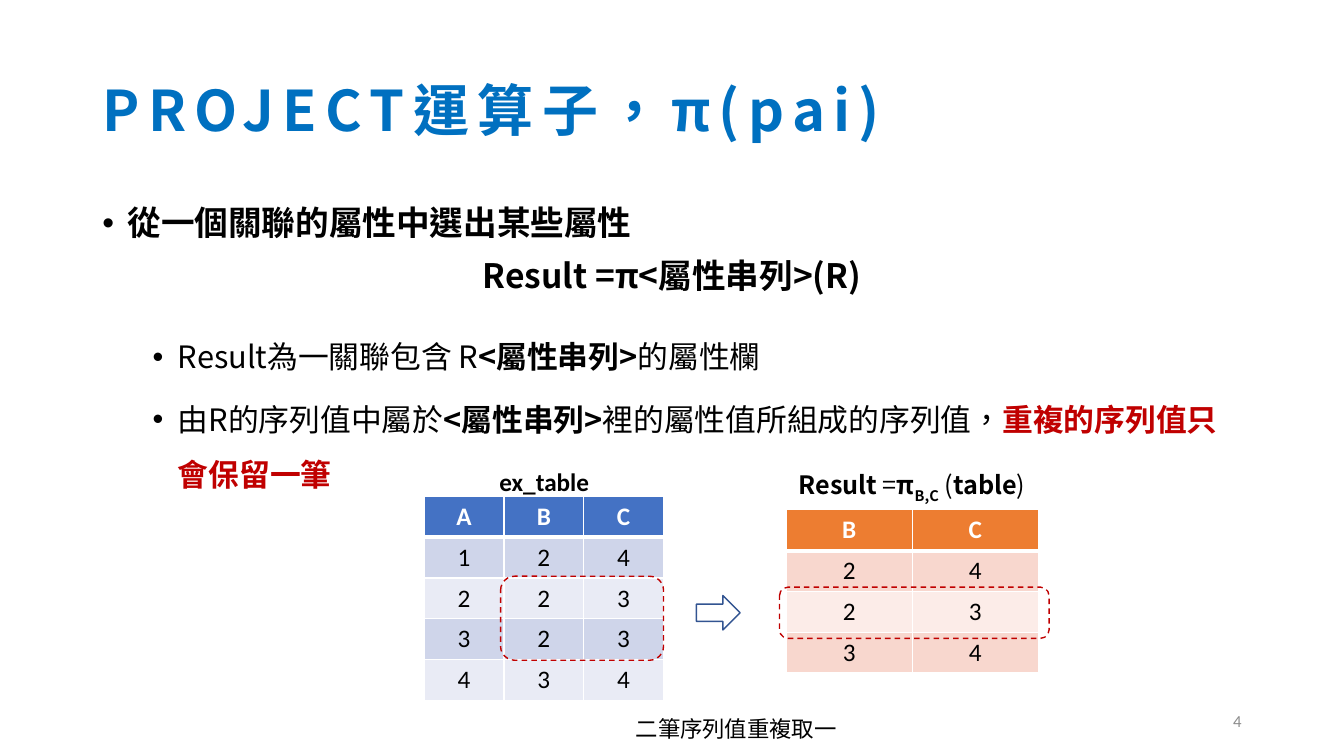
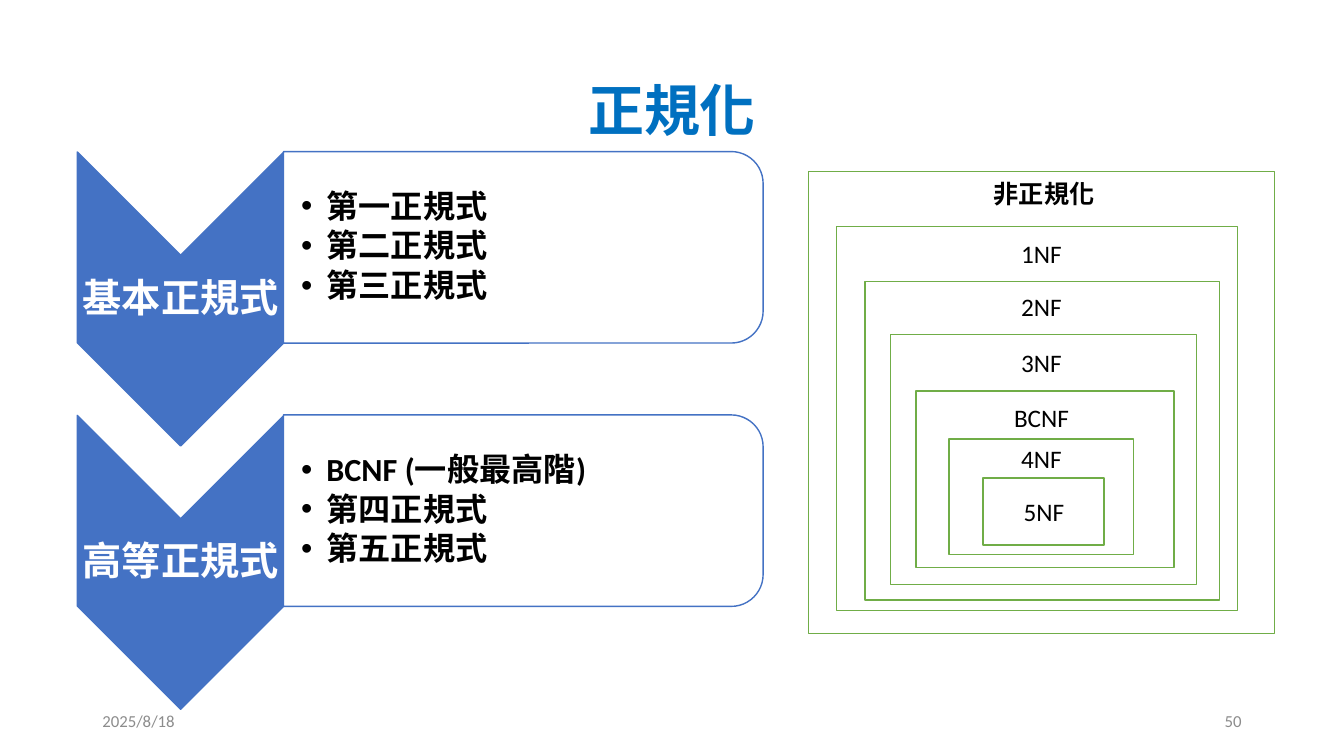
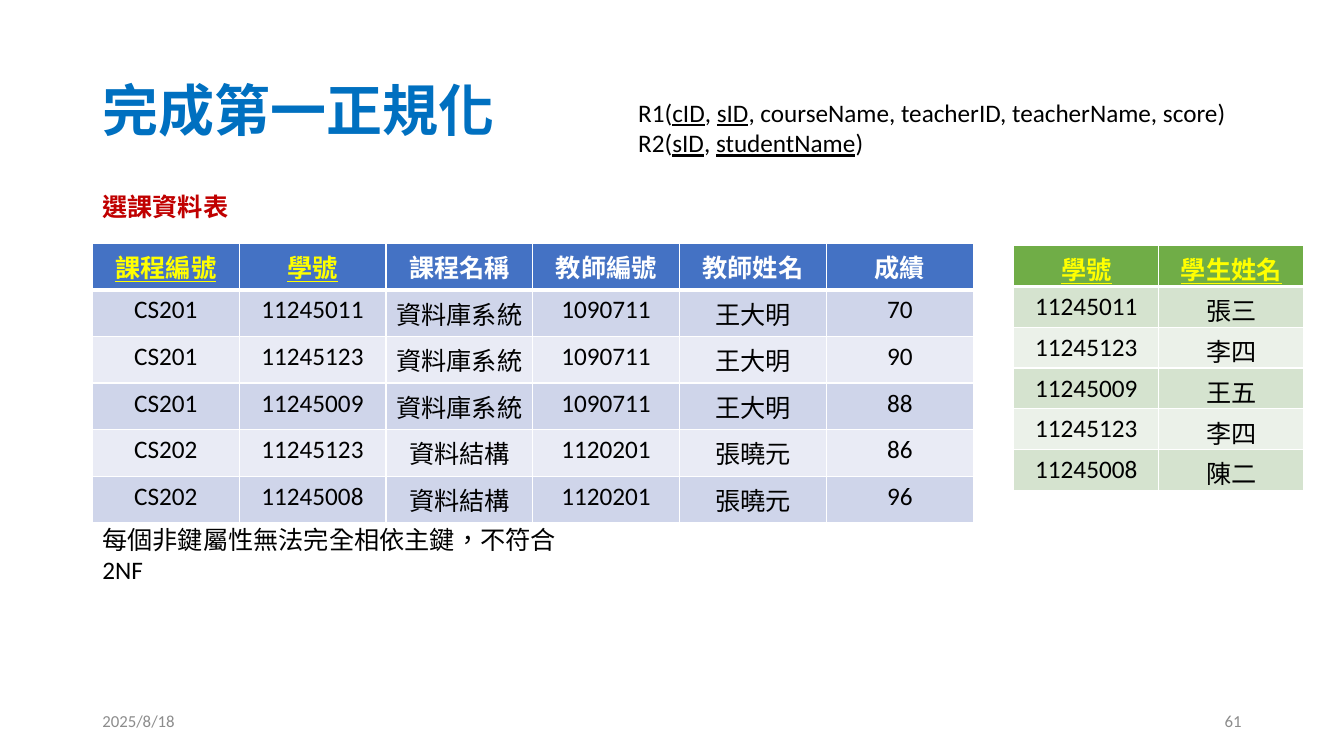
from lxml import etree
from pptx import Presentation, util as u
from pptx.dml.color import RGBColor
from pptx.enum import dml, shapes, text
from pptx.oxml.ns import qn

COLORS = {
    "title": "0070C0", "ink": "000000", "paper": "FFFFFF", "footer": "8C8C8C",
    "alert": "C00000", "key": "FFFF00", "arrow": "325491",
    "blue": "4472C4", "blue_odd": "CFD5EA", "blue_even": "E9EBF5",
    "orange": "ED7D31", "orange_odd": "F8D7CE", "orange_even": "FCECE8",
    "green": "70AD47", "green_odd": "D5E3CF", "green_even": "EBF1E9",
}
RGB = {name: RGBColor.from_string(value) for name, value in COLORS.items()}
LATIN, CJK = "Calibri", "Noto Sans CJK SC"
LEFT, CENTER, RIGHT = text.PP_ALIGN.LEFT, text.PP_ALIGN.CENTER, text.PP_ALIGN.RIGHT
MIDDLE = text.MSO_ANCHOR.MIDDLE
BOLD, PLAIN, UNDER = {"bold": True}, {}, {"underline": True}

deck = Presentation()
deck.slide_width, deck.slide_height = u.Inches(13.333), u.Inches(7.5)
CELL = deck.slide_width / 160  # grid of 160 columns by 90 rows


def at(*cells):
    return [round(cell * CELL) for cell in cells]


def write(frame, lines, align=LEFT, color="ink", wrap=True, anchor=None, attrs=None, **font):
    """Each line is a string or a list of (string, font values) runs."""
    frame.word_wrap = wrap
    if anchor is not None:
        frame.vertical_anchor = anchor
    for i, line in enumerate(lines):
        paragraph = frame.add_paragraph() if i else frame.paragraphs[0]
        paragraph.alignment = align
        for words, extra in [(line, {})] if isinstance(line, str) else line:
            run = paragraph.add_run()
            run.text = words
            look = {"name": LATIN, "size": 18, "bold": False, "color": color, **font, **extra}
            run.font.color.rgb = RGB[look.pop("color")]
            look["size"] = u.Pt(look["size"])
            baseline = look.pop("baseline", None)
            for key, value in look.items():
                setattr(run.font, key, value)
            props = run._r.get_or_add_rPr()
            props.set("lang", "zh-TW")
            for key, value in (attrs or {}).items():
                props.set(key, value)
            if baseline:
                props.set("baseline", baseline)
            etree.SubElement(props, qn("a:ea")).set("typeface", CJK)
    return frame


# Titles and footers
slides = []
for heading, align, font, attrs, date, number in [
    ("PROJECT運算子，π(pai)", LEFT, CJK, {"spc": "600"}, "", "4"),
    ("正規化", CENTER, LATIN, {}, "2025/8/18", "50"),
    ("完成第一正規化", LEFT, LATIN, {}, "2025/8/18", "61"),
]:
    slide = deck.slides.add_slide(deck.slide_layouts[5])
    slides.append(slide)
    title = slide.shapes.title
    title.left, title.top, title.width, title.height = at(11, 4.8, 138, 17.4)
    frame = write(title.text_frame, [heading], align, "title", anchor=MIDDLE,
                  attrs=attrs, name=font, size=40, bold=True)
    frame.auto_size = text.MSO_AUTO_SIZE.NONE
    frame.paragraphs[0].line_spacing = 0.9
    for words, left, side in [(date, 11, LEFT), (number, 113, RIGHT)]:
        if words:
            footer = slide.shapes.add_textbox(*at(left, 83.4, 36, 4.8))
            write(footer.text_frame, [words], side, "footer", anchor=MIDDLE, size=12)
project, normal, first_form = slides

# Tables: slide, theme, left, top, column width, row height, key columns, rows
tables = [
    (project, "blue", 50.5, 59.1, 9.5, 4.86, 0,
     ["A B C", "1 2 4", "2 2 3", "3 2 3", "4 3 4"]),
    (project, "orange", 93.6, 60.7, 15, 4.86, 0, ["B C", "2 4", "2 3", "3 4"]),
    (first_form, "blue", 11, 28.95, 17.48, 5.55, 2,
     ["課程編號 學號 課程名稱 教師編號 教師姓名 成績",
      "CS201 11245011 資料庫系統 1090711 王大明 70",
      "CS201 11245123 資料庫系統 1090711 王大明 90",
      "CS201 11245009 資料庫系統 1090711 王大明 88",
      "CS202 11245123 資料結構 1120201 張曉元 86",
      "CS202 11245008 資料結構 1120201 張曉元 96"]),
    (first_form, "green", 120.7, 29.25, 17.25, 4.86, 2,
     ["學號 學生姓名", "11245011 張三", "11245123 李四", "11245009 王五",
      "11245123 李四", "11245008 陳二"]),
]
for slide, theme, left, top, col_width, row_height, keys, lines in tables:
    rows = [line.split() for line in lines]
    size = (col_width * len(rows[0]), row_height * len(rows))
    grid = slide.shapes.add_table(len(rows), len(rows[0]), *at(left, top, *size)).table
    for r, row in enumerate(rows):
        for c, words in enumerate(row):
            cell = grid.cell(r, c)
            if theme == "green":
                cell.margin_bottom = 0
            is_key = r == 0 and c < keys
            color = "key" if is_key else "ink" if r else "paper"
            write(cell.text_frame, [words], CENTER, color, bold=r == 0, underline=is_key)
            borders = cell._tc.get_or_add_tcPr()
            for side in "LRTB":
                thick = (side == "B" and r == 0) or (side == "T" and r == 1)
                line = etree.SubElement(borders, qn("a:ln" + side), w=str(u.Pt(3 if thick else 1)))
                fill = etree.SubElement(line, qn("a:solidFill"))
                etree.SubElement(fill, qn("a:srgbClr"), val=COLORS["paper"])
            cell.fill.solid()
            shade = "" if r == 0 else "_odd" if r % 2 else "_even"
            cell.fill.fore_color.rgb = RGB[theme + shade]

# PROJECT: definition
attributes = ("<屬性串列>", BOLD)
definition = project.shapes.add_textbox(*at(11, 24, 138, 57.1)).text_frame
write(definition, [
    [("從一個關聯的屬性中選出某些屬性", {"size": 24, "bold": True})],
    [("Result =π<屬性串列>(R)", {"size": 24, "bold": True})],
    [("Result為一關聯包含 R", PLAIN), attributes, ("的屬性欄", PLAIN)],
    [("由R的序列值中屬於", PLAIN), attributes, ("裡的屬性值所組成的序列值，", PLAIN),
     ("重複的序列值只會保留一筆", {"bold": True, "color": "alert"})],
], name=CJK, size=22)
definition.paragraphs[1].alignment = CENTER
bulleted = []
for paragraph, spacing, before, after, indent in zip(
        definition.paragraphs, (0.9, 0.9, 1.5, 1.5), (0, 12, 5, 5), (0, 12, 0, 0), (3, 0, 9, 9)):
    paragraph.line_spacing = spacing
    paragraph.space_before, paragraph.space_after = u.Pt(before), u.Pt(after)
    if indent:
        bulleted.append((paragraph, indent))

# PROJECT: table captions
for left, top, width, words, align, look in [
    (58.1, 54.9, 13.4, [("ex_table", BOLD)], CENTER, {}),
    (93.9, 55.7, 60, [("Result", BOLD), (" =", PLAIN), ("π", BOLD),
                      ("B,C", {"bold": True, "baseline": "-25000"}), (" (", PLAIN),
                      ("table", BOLD), (")", PLAIN)], LEFT, {"name": CJK}),
    (74.5, 84.6, 26.6, ["二筆序列值重複取一"], LEFT, {"name": CJK, "size": 16}),
]:
    caption = project.shapes.add_textbox(*at(left, top, width, 4.5)).text_frame
    write(caption, words if isinstance(words[0], str) else [words], align, **look)
    caption.paragraphs[0].line_spacing = 0.8 if left > 90 else 1.0

# PROJECT: duplicate marks and arrow
for kind, place, color, dash in [
    (shapes.MSO_SHAPE.ROUNDED_RECTANGLE, (59.6, 68.6, 19.4, 10), "alert", True),
    (shapes.MSO_SHAPE.ROUNDED_RECTANGLE, (92.8, 69.9, 32.1, 6.1), "alert", True),
    (shapes.MSO_SHAPE.RIGHT_ARROW, (82.9, 70.9, 5.2, 4.1), "arrow", False),
]:
    mark = project.shapes.add_shape(kind, *at(*place))
    mark.shadow.inherit = False
    mark.fill.background()
    mark.line.color.rgb, mark.line.width = RGB[color], u.Pt(1)
    if dash:
        mark.line.dash_style = dml.MSO_LINE.DASH

# Normalization: two levels, each a chevron and a list
for level, (name, forms) in enumerate([
    ("基本正規式", ["第一正規式", "第二正規式", "第三正規式"]),
    ("高等正規式", ["BCNF (一般最高階)", "第四正規式", "第五正規式"]),
]):
    drop = level * 31.35
    for kind, place, fill in [
        (shapes.MSO_SHAPE.CHEVRON, (4, 23.3, 35, 24.6), "blue"),
        (shapes.MSO_SHAPE.ROUND_2_SAME_RECTANGLE, (50.9, 0.9, 22.8, 57.1), "paper"),
    ]:
        left, top, width, height = place
        part = normal.shapes.add_shape(kind, *at(left, top + drop, width, height))
        part.rotation = 90
        part.shadow.inherit = False
        part.fill.solid()
        part.fill.fore_color.rgb = RGB[fill]
        part.line.color.rgb, part.line.width = RGB["blue"], u.Pt(1)
    label = normal.shapes.add_textbox(*at(9.2, 30.4 + drop, 24.6, 10.6)).text_frame
    items = normal.shapes.add_textbox(*at(33.7, 19.2 + drop, 56, 20.5)).text_frame
    for frame, inset in [(label, 0.02), (items, 0.18)]:
        frame.margin_left = u.Inches(inset)
        frame.margin_right = frame.margin_top = frame.margin_bottom = u.Inches(0.02)
    write(label, [name], CENTER, "paper", anchor=MIDDLE, size=28, bold=True)
    label.paragraphs[0].line_spacing = 0.9
    write(items, forms, anchor=MIDDLE, size=23, bold=True)
    for paragraph in items.paragraphs:
        paragraph.line_spacing, paragraph.space_after = 0.9, u.Pt(3.5)
        bulleted.append((paragraph, 3))

# Bullets with a hanging indent
for paragraph, indent in bulleted:
    props = paragraph._p.get_or_add_pPr()
    props.set("marL", str(at(indent)[0]))
    props.set("indent", str(at(-3)[0]))
    etree.SubElement(props, qn("a:buFont"), typeface="Arial")
    etree.SubElement(props, qn("a:buChar"), char="•")

# Normalization: nested normal forms, outermost first
for form, place, label_top in [
    ("非正規化", (96.25, 20.4, 55.5, 55), 20.6),
    ("1NF", (99.6, 27, 47.7, 45.7), 27.8),
    ("2NF", (103, 33.55, 42.2, 37.9), 34.05),
    ("3NF", (106, 39.8, 36.45, 29.8), 40.8),
    ("BCNF", (109.05, 46.55, 30.7, 21), 47.3),
    ("4NF", (113, 52.25, 21.95, 13.8), 52.2),
    ("5NF", (117.05, 56.9, 14.4, 8), 58.5),
]:
    ring = normal.shapes.add_shape(shapes.MSO_SHAPE.RECTANGLE, *at(*place))
    ring.shadow.inherit = False
    ring.fill.solid()
    ring.fill.fore_color.rgb = RGB["paper"]
    ring.line.color.rgb, ring.line.width = RGB["green"], u.Pt(1)
    label_left = 117 if form in ("非正規化", "5NF") else 116.7
    label = normal.shapes.add_textbox(*at(label_left, label_top, 14.6, 4.8))
    write(label.text_frame, [form], CENTER, bold=form == "非正規化")

# First normal form: notes and relation schemas
for place, lines, look in [
    ((11, 61.8, 58, 8.5), ["每個非鍵屬性無法完全相依主鍵，不符合 2NF"], {}),
    ((11, 22.15, 17.5, 4.8), ["選課資料表"], {"color": "alert", "bold": True}),
    ((74.8, 11, 75, 8.5),
     [[("R1(", PLAIN), ("cID", UNDER), (", ", PLAIN), ("sID", UNDER),
       (", courseName, teacherID, teacherName, score)", PLAIN)],
      [("R2(", PLAIN), ("sID", UNDER), (", ", PLAIN), ("studentName", UNDER), (")", PLAIN)]], {}),
]:
    note = first_form.shapes.add_textbox(*at(*place))
    write(note.text_frame, lines, **look)

deck.save("out.pptx")
